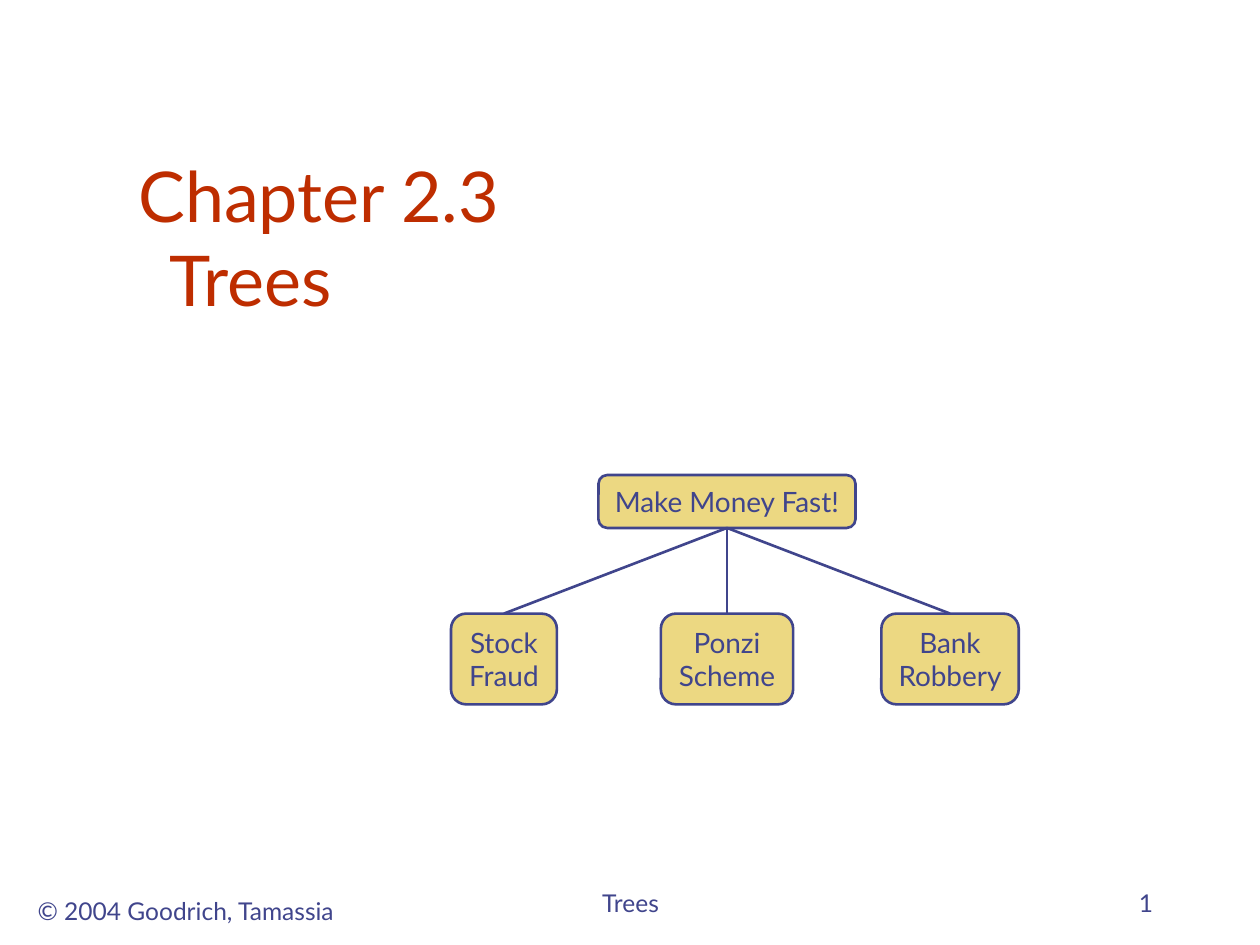
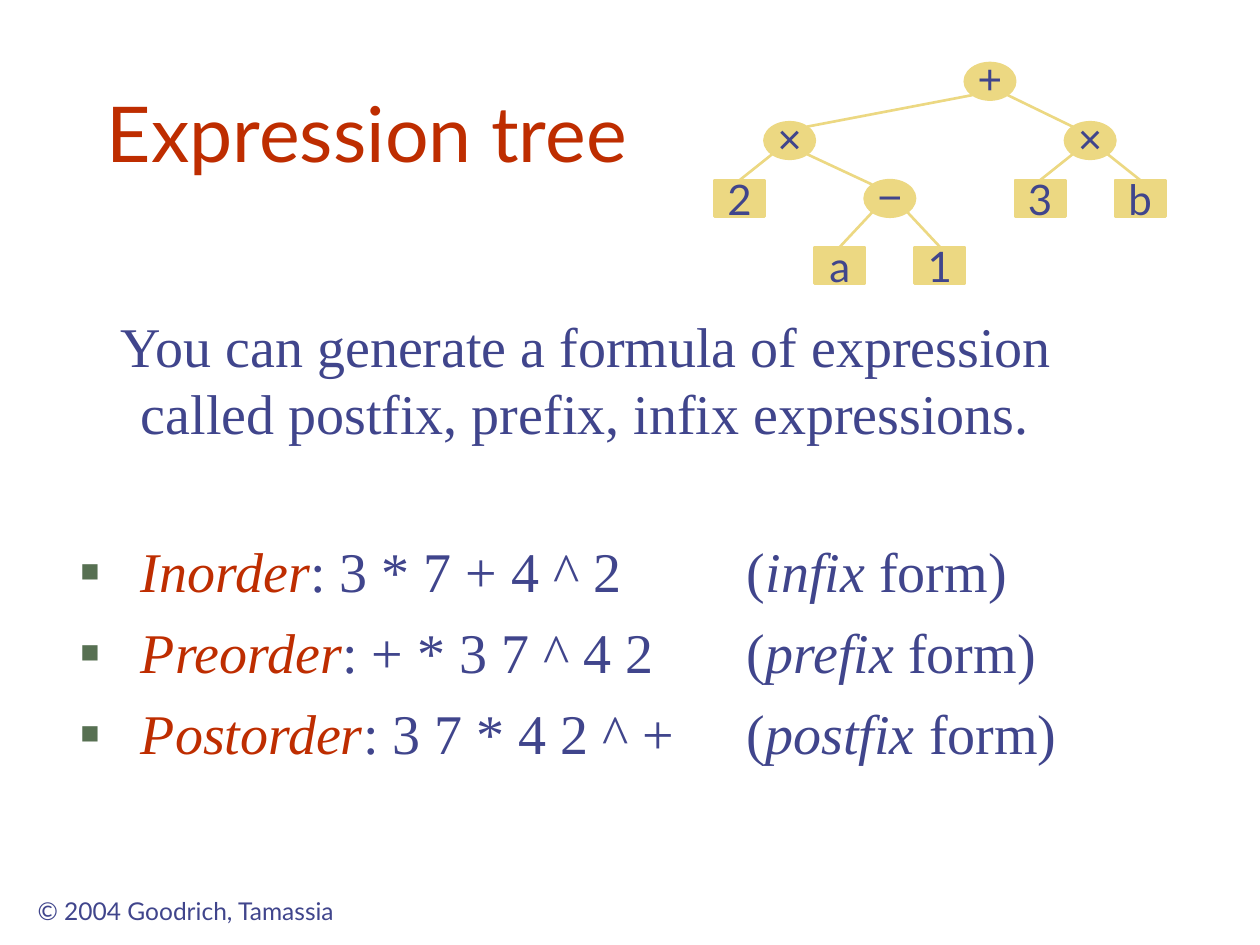
import pptx
import pptx.util
import pptx.dml.color
import pptx.enum.shapes
import pptx.enum.text
import pptx.oxml.ns
import lxml.etree

Inches = pptx.util.Inches
Pt = pptx.util.Pt
RGBColor = pptx.dml.color.RGBColor
SHAPE = pptx.enum.shapes.MSO_SHAPE
ALIGN = pptx.enum.text.PP_ALIGN
ANCHOR = pptx.enum.text.MSO_ANCHOR
qn = pptx.oxml.ns.qn

NAVY = RGBColor(0x40, 0x45, 0x8C)
RED = RGBColor(0xBE, 0x2D, 0x00)
SAND = RGBColor(0xEC, 0xD8, 0x82)
SANS, SERIF, SYMBOLS = "Lato", "Times New Roman", "Arial"
BULLET, BULLET_COLOR = "▪", "577052"


class Deck:
    """Shared style plus the slide being filled."""

    def __init__(self):
        self.prs = pptx.Presentation()
        self.prs.slide_width, self.prs.slide_height = Inches(10), Inches(7.5)
        self.s = None

    def slide(self):
        self.s = self.prs.slides.add_slide(self.prs.slide_layouts[6])
        self.footer("© 2004 Goodrich, Tamassia", 0.17, 7.06, 2.61, 0.33, ALIGN.CENTER)

    def box(self, x, y, w, h, anchor=ANCHOR.TOP):
        tf = self.s.shapes.add_textbox(Inches(x), Inches(y), Inches(w), Inches(h)).text_frame
        tf.word_wrap = True
        tf.vertical_anchor = anchor
        return tf

    def run(self, p, text, size, font=SANS, color=NAVY, italic=False):
        r = p.add_run()
        r.text = text
        r.font.size, r.font.name = Pt(size), font
        r.font.color.rgb, r.font.italic = color, italic

    def paragraph(self, tf, first, left=0, indent=0, before=0, bullet=False):
        p = tf.paragraphs[0] if first else tf.add_paragraph()
        pPr = p._p.get_or_add_pPr()
        pPr.set("marL", str(Inches(left)))
        pPr.set("indent", str(Inches(indent)))
        p.space_before = Pt(before)
        if bullet:
            clr = lxml.etree.SubElement(pPr, qn("a:buClr"))
            lxml.etree.SubElement(clr, qn("a:srgbClr"), val=BULLET_COLOR)
            lxml.etree.SubElement(pPr, qn("a:buSzPct"), val="110000")
            lxml.etree.SubElement(pPr, qn("a:buFont"), typeface=SYMBOLS)
            lxml.etree.SubElement(pPr, qn("a:buChar"), char=BULLET)
        return p

    def title(self, lines, x, y, w, h, size, anchor):
        tf = self.box(x, y, w, h, anchor)
        for i, (text, left) in enumerate(lines):
            self.run(self.paragraph(tf, i == 0, left), text, size, color=RED)

    def footer(self, text, x, y, w, h, align, anchor=ANCHOR.TOP):
        p = self.box(x, y, w, h, anchor).paragraphs[0]
        p.alignment = align
        self.run(p, text, 14)

    def node(self, kind, text, x, y, w, h, size, line=SAND, font=SANS):
        sp = self.s.shapes.add_shape(kind, Inches(x), Inches(y), Inches(w), Inches(h))
        sp.shadow.inherit = False
        sp.fill.solid()
        sp.fill.fore_color.rgb = SAND
        sp.line.color.rgb, sp.line.width = line, Pt(1.5)
        tf = sp.text_frame
        tf.word_wrap, tf.vertical_anchor = False, ANCHOR.MIDDLE
        if kind == SHAPE.OVAL:
            tf.margin_left = tf.margin_right = tf.margin_top = 0
        p = tf.paragraphs[0]
        p.alignment = ALIGN.CENTER
        for i, part in enumerate(text.split("\n")):
            if i:
                p.add_line_break()
            self.run(p, part, size, font)
        return sp

    def edge(self, color, start=(0, 0), end=(0, 0)):
        x1, y1, x2, y2 = (Inches(v) for v in (*start, *end))
        c = self.s.shapes.add_connector(pptx.enum.shapes.MSO_CONNECTOR.STRAIGHT, x1, y1, x2, y2)
        c.line.color.rgb, c.line.width = color, Pt(1.5)
        lxml.etree.SubElement(c._element.spPr, qn("a:effectLst"))
        return c


def chapter_slide(d):
    d.slide()
    d.footer("Trees", 3.42, 6.83, 3.17, 0.5, ALIGN.CENTER, ANCHOR.BOTTOM)
    d.footer("1", 7.17, 6.83, 2.08, 0.5, ALIGN.RIGHT, ANCHOR.BOTTOM)
    d.title([("Chapter 2.3", 0), ("Trees", 0.25)], 1, 0.92, 8.5, 1.67, 40, ANCHOR.BOTTOM)

    # Root and its three children, evenly spaced around the root
    center, pitch = 5.77, 1.77
    root = d.node(SHAPE.ROUNDED_RECTANGLE, "Make Money Fast!",
                  center - 1.02, 3.77, 2.04, 0.42, 16, NAVY)
    children = [("Stock\nFraud", 0.84), ("Ponzi\nScheme", 1.05), ("Bank\nRobbery", 1.09)]
    for i, (text, w) in enumerate(children):
        x = center + (i - 1) * pitch - w / 2
        child = d.node(SHAPE.ROUNDED_RECTANGLE, text, x, 4.87, w, 0.72, 16, NAVY)
        c = d.edge(NAVY)
        c.begin_connect(root, 2)
        c.end_connect(child, 0)


def expression_slide(d):
    d.slide()
    d.title([("Expression tree", 0)], 0.75, 0.42, 8.5, 1.25, 44, ANCHOR.MIDDLE)

    # Explanation and the three traversal orders
    tf = d.box(0.33, 2.42, 8.83, 1.5)
    p = d.paragraph(tf, True, 0.69, -0.16)
    d.run(p, "You can generate a formula of expression called postfix, prefix, "
             "infix expressions.", 32, SERIF)
    orders = [("Inorder", ": 3 * 7 + 4 ^ 2 \t\t(", "infix"),
              ("Preorder", ": + * 3 7 ^ 4 2\t\t(", "prefix"),
              ("Postorder", ": 3 7 * 4 2 ^ + \t(", "postfix")]
    for i, (order, formula, form) in enumerate(orders):
        p = d.paragraph(tf, False, 0.69, -0.49, 8 if i else 52, bullet=True)
        d.run(p, order, 32, SERIF, RED, True)
        d.run(p, formula, 32, SERIF)
        d.run(p, form, 32, SERIF, italic=True)
        d.run(p, " form)", 32, SERIF)

    # Tree nodes: label, column, row, index of the parent
    nodes = [("+", 5, 0, None), ("×", 7, 1, 0), ("×", 1, 1, 0), ("−", 3, 2, 2),
             ("2", 0, 2, 2), ("a", 2, 3, 3), ("1", 4, 3, 3), ("3", 6, 2, 1), ("b", 8, 2, 1)]
    rows = [0.5, 0.97, 1.43, 1.96]
    w, h, step = 0.4, 0.29, (8.85 - 5.67) / 8
    dx, dy = 0.14, 0.11  # offset of an oval's diagonal points from its centre
    centers = []
    for label, col, row, parent in nodes:
        x, y = 5.67 + col * step, rows[row]
        cx, cy = x + w / 2, y + h / 2
        centers.append((cx, cy))
        leaf = label.isalnum()
        kind, font = (SHAPE.RECTANGLE, SANS) if leaf else (SHAPE.OVAL, SYMBOLS)
        sp = d.node(kind, label, x, y, w, h, 24, font=font)
        if parent is not None:
            px, py = centers[parent]
            side = 1 if cx > px else -1
            c = d.edge(SAND, (px + side * dx, py + dy), (cx - side * dx, cy - dy))
            if leaf:
                c.end_connect(sp, 0)


def main():
    d = Deck()
    chapter_slide(d)
    expression_slide(d)
    d.prs.save("out.pptx")


if __name__ == "__main__":
    main()
